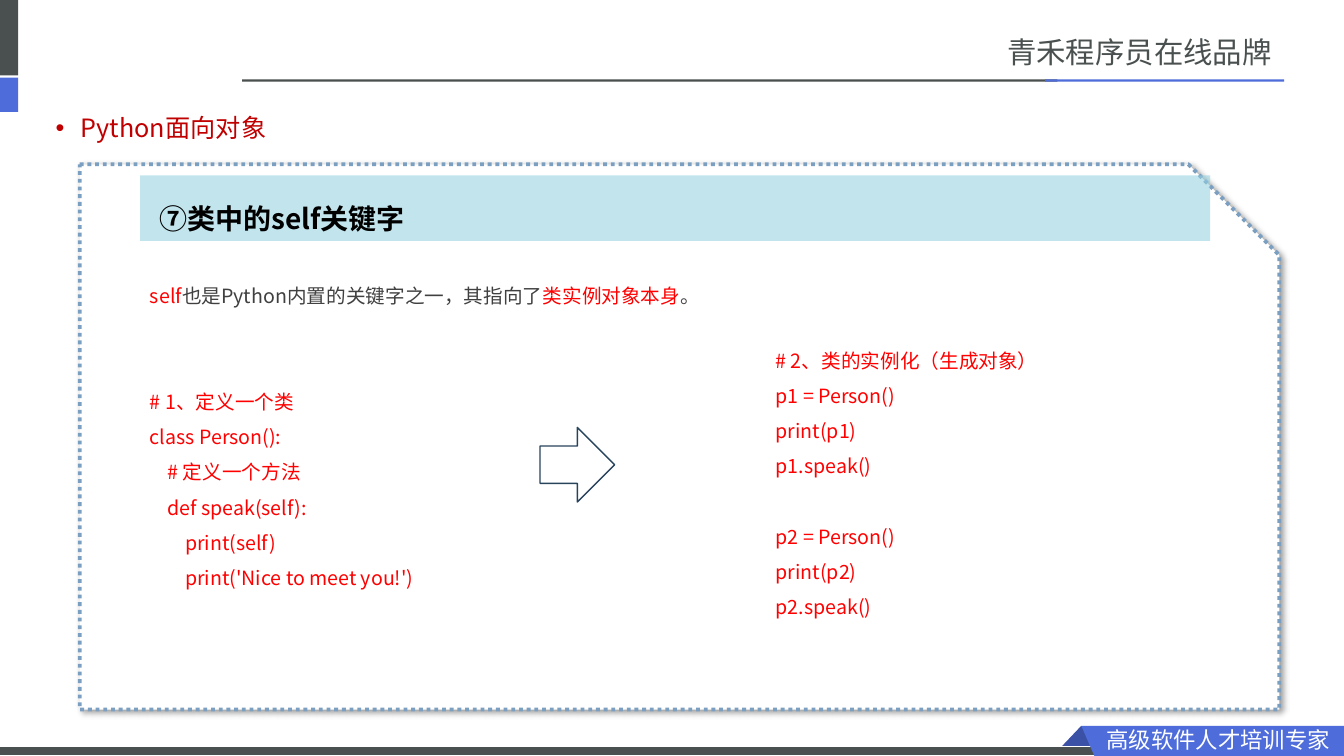
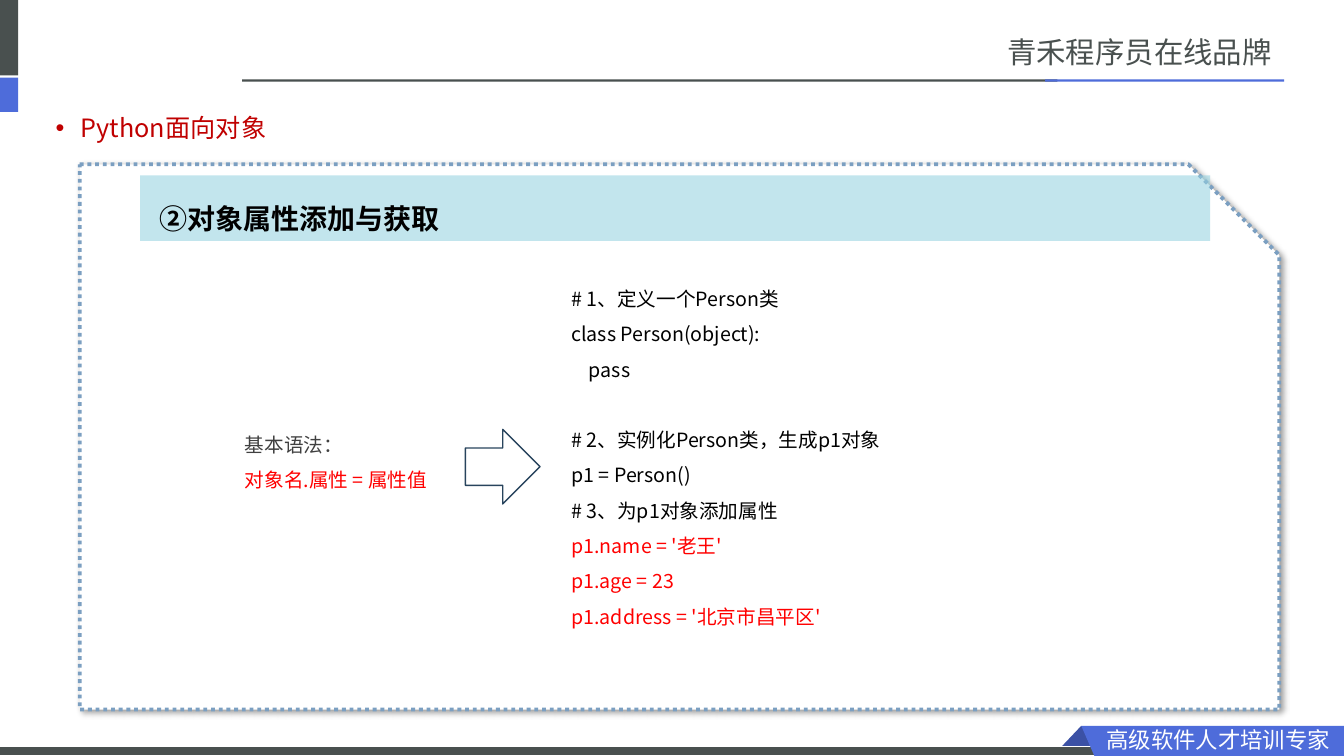
from lxml import etree
from pptx import Presentation
from pptx.dml.color import RGBColor
from pptx.enum import dml, shapes
from pptx.oxml.ns import qn
from pptx.util import Cm, Pt

SANS, HEADING_FONT = "Noto Sans CJK SC", "Noto Sans CJK JP"
DARK, BLUE, DEEP_BLUE, WHITE = "49504F", "4E6CDA", "3B51A5", "FFFFFF"
RED, CRIMSON, GREY, BLACK = "FF0000", "C00000", "404040", "000000"
PANEL_LINE, BAND, ARROW_LINE = "7B9FC1", "94D2E0", "28445D"
CODE_LINE = 25.2  # pitch of one code line, in points


def rgb(value):
    return RGBColor.from_string(value)


def child(parent, tag, **attributes):
    return etree.SubElement(parent, qn(tag), {k: str(v) for k, v in attributes.items()})


class Deck:
    """Holds the presentation, its style and the slide being drawn."""

    def __init__(self):
        self.prs = Presentation()
        self.prs.slide_width, self.prs.slide_height = Cm(33.87), Cm(19.05)
        self.slide = None

    def paint(self, shape, fill, line=None, width=1.0):
        shape.shadow.inherit = False
        shape.fill.solid()
        shape.fill.fore_color.rgb = rgb(fill)
        if line:
            shape.line.color.rgb = rgb(line)
            shape.line.width = Pt(width)
        else:
            shape.line.fill.background()
        return shape

    def shape(self, box, fill, kind=shapes.MSO_SHAPE.RECTANGLE, **outline):
        added = self.slide.shapes.add_shape(kind, *map(Cm, box))
        return self.paint(added, fill, **outline)

    def polygon(self, points, fill):
        start, *rest = [(Cm(x), Cm(y)) for x, y in points]
        builder = self.slide.shapes.build_freeform(*start)
        builder.add_line_segments(rest, close=True)
        return self.paint(builder.convert_to_shape(), fill)

    def text(self, box, paragraphs, size=14, color=BLACK, font=SANS, bold=False,
             spacing=None, inset=None, bullet=False):
        """Each paragraph is a string or a list of (text, colour); an empty one is a gap."""
        frame = self.slide.shapes.add_textbox(*map(Cm, box)).text_frame
        frame.word_wrap = True
        if inset is not None:
            frame.margin_left = frame.margin_right = Cm(inset)
            frame.margin_top = frame.margin_bottom = Cm(inset)
        paragraph, gap = None, 0
        for content in paragraphs:
            if not content:
                gap += CODE_LINE
                continue
            paragraph = frame.add_paragraph() if paragraph else frame.paragraphs[0]
            if bullet:
                properties = paragraph._p.get_or_add_pPr()
                properties.set("marL", str(Cm(0.64)))
                properties.set("indent", str(-Cm(0.64)))
                child(properties, "a:buFont", typeface="Arial")
                child(properties, "a:buChar", char="•")
            if spacing:
                paragraph.line_spacing = spacing
            if gap:
                paragraph.space_before = Pt(gap)
                gap = 0
            runs = [(content, color)] if isinstance(content, str) else content
            for words, run_color in runs:
                run = paragraph.add_run()
                run.text = words
                run.font.size, run.font.bold = Pt(size), bold
                run.font.name = font
                run.font.color.rgb = rgb(run_color)
                child(run.font._element, "a:ea", typeface=font)

    def code(self, box, lines, color=BLACK):
        self.text(box, lines, color=color, spacing=1.5)

    def arrow(self, left, top):
        self.shape((left, top, 1.88, 1.88), WHITE, shapes.MSO_SHAPE.RIGHT_ARROW,
                   line=ARROW_LINE)

    def frame(self):
        """Draws the side bars, header rule and footer ribbon."""
        self.shape((0, 0, 0.46, 1.9), DARK)
        self.shape((6.1, 2, 20.55, 0.06), DARK)
        self.shape((26.34, 2, 6.02, 0.06), BLUE)
        self.shape((0, 1.96, 0.46, 0.86), BLUE)
        self.polygon([(27.25, 18.29), (27.81, 18.87), (26.7, 18.87)], DEEP_BLUE)
        self.shape((0, 18.82, 27.91, 0.23), DARK, line=WHITE, width=0.75)
        self.polygon([(27.25, 18.29), (33.87, 18.29), (33.87, 19.05), (27.58, 19.05)], BLUE)
        self.text((27.76, 18.16, 5.97, 0.89), ["高级软件人才培训专家"],
                  size=16, color=WHITE, inset=0.13)
        self.text((25.25, 0.74, 7.11, 1.14), ["青禾程序员在线品牌"],
                  size=21, color=DARK, inset=0.13)

    def panel(self):
        """Draws the dotted card with its soft shadow."""
        card = self.shape((2.01, 4.14, 30.23, 13.74), WHITE,
                          shapes.MSO_SHAPE.SNIP_1_RECTANGLE, line=PANEL_LINE, width=2.75)
        card.line.dash_style = dml.MSO_LINE.ROUND_DOT
        effects = card._element.spPr.find(qn("a:effectLst"))
        shadow = child(effects, "a:outerShdw", blurRad=Pt(4), dist=Pt(3),
                       dir=45 * 60000, algn="tl", rotWithShape=0)
        child(child(shadow, "a:srgbClr", val=BLACK), "a:alpha", val=40000)

    def start(self, topic):
        self.slide = self.prs.slides.add_slide(self.prs.slide_layouts[6])
        self.frame()
        self.panel()
        self.text((1.27, 2.79, 29.72, 0.97), ["Python面向对象"], size=18, color=CRIMSON,
                  font=HEADING_FONT, spacing=0.9, inset=0.13, bullet=True)
        band = self.shape((3.53, 4.42, 26.97, 1.65), BAND)
        child(band._element.spPr.find(qn("a:solidFill"))[0], "a:alpha", val=56000)
        self.text((3.76, 4.7, 26.34, 1.8), [topic], size=20, bold=True, spacing=Pt(31.4))


def self_keyword(deck):
    deck.start("⑦类中的self关键字")
    deck.text((3.53, 6.73, 27.48, 1.2), [[
        ("self", RED), ("也是Python内置的关键字之一，其指向了", GREY),
        ("类实例对象本身", RED), ("。", GREY)]], spacing=1.5)
    deck.code((3.53, 9.4, 9.8, 5.9), [
        "# 1、定义一个类",
        "class Person():",
        "    # 定义一个方法",
        "    def speak(self):",
        "        print(self)",
        "        print('Nice to meet you!')"], color=RED)
    deck.code((19.3, 8.36, 9.65, 7.34), [
        "# 2、类的实例化（生成对象）",
        "p1 = Person()",
        "print(p1)",
        "p1.speak()",
        "",
        "p2 = Person()",
        "print(p2)",
        "p2.speak()"], color=RED)
    deck.arrow(13.61, 10.77)


def object_attributes(deck):
    deck.start("②对象属性添加与获取")
    deck.text((5.92, 10.49, 5.28, 2.06),
              ["基本语法：", [("对象名.属性 = 属性值", RED)]], color=GREY, spacing=1.5)
    assignments = ["p1.name = '老王'", "p1.age = 23", "p1.address = '北京市昌平区'"]
    deck.code((14.15, 6.81, 17.02, 9.14), [
        "# 1、定义一个Person类",
        "class Person(object):",
        "    pass",
        "",
        "# 2、实例化Person类，生成p1对象",
        "p1 = Person()",
        "# 3、为p1对象添加属性",
        *[[(line, RED)] for line in assignments]])
    deck.arrow(11.73, 10.82)


def main():
    deck = Deck()
    self_keyword(deck)
    object_attributes(deck)
    deck.prs.save("out.pptx")


if __name__ == "__main__":
    main()
